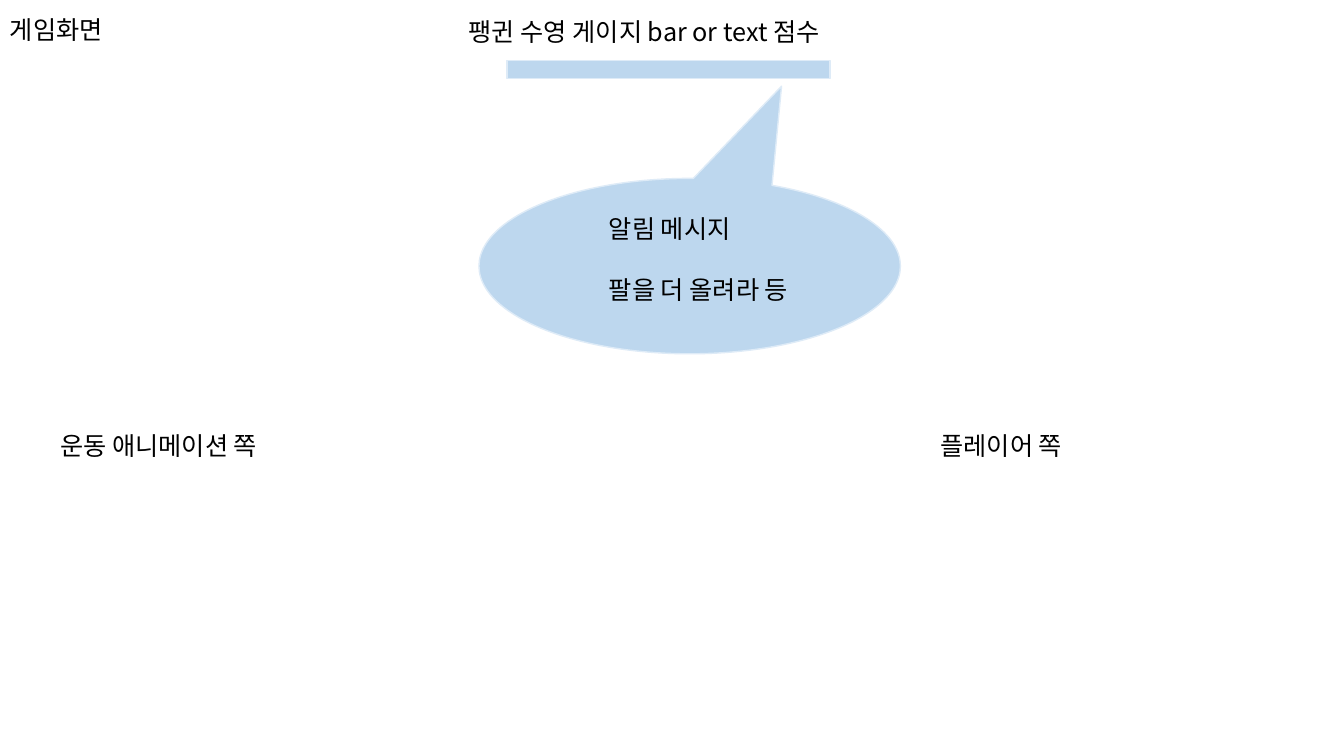
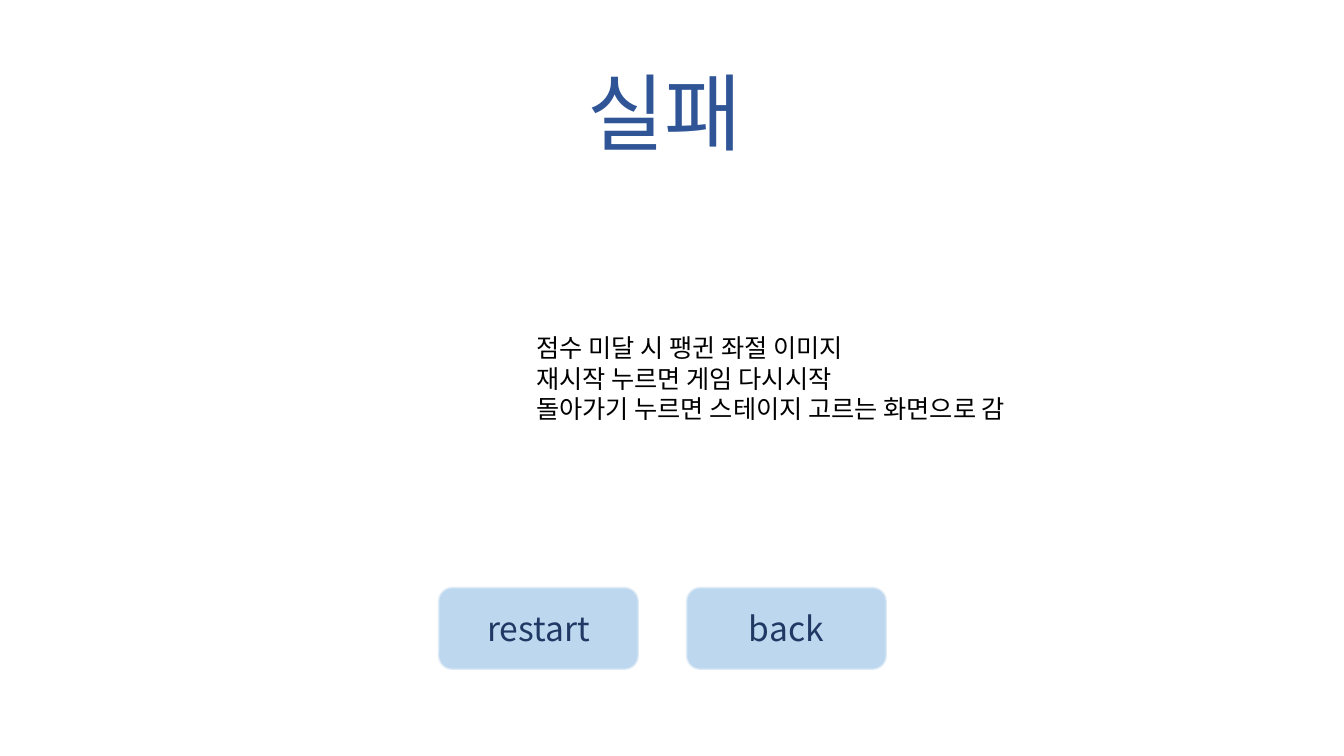
from pptx import Presentation
from pptx.dml.color import RGBColor
from pptx.enum.shapes import MSO_SHAPE as Kind
from pptx.enum.text import MSO_ANCHOR as Anchor, MSO_AUTO_SIZE as Fit, PP_ALIGN as Align
from pptx.oxml.ns import qn
from pptx.util import Inches, Pt
from lxml.etree import SubElement

FONT = "Noto Sans CJK KR"
BLACK, NAVY, BLUE = "000000", "203864", "2F5597"
SKY, EDGE = "BDD7EE", "DEEBF7"
BODY = {"size": 18, "color": BLACK}
LABEL = {"size": 24, "color": NAVY, "align": Align.CENTER}
TITLE = {"size": 60, "color": BLUE, "align": Align.CENTER}


def tint(code):
    """Turn a hex string into a colour."""
    return RGBColor.from_string(code)


def write(frame, lines, size, color, align=Align.LEFT, gap=0):
    """Fill a text frame with one paragraph per line."""
    frame.word_wrap = True
    for i, line in enumerate(lines):
        para = frame.paragraphs[0] if i == 0 else frame.add_paragraph()
        para.alignment = align
        para.space_before = Pt(gap if i else 0)
        run = para.add_run()
        run.text = line
        for name, value in {"name": FONT, "size": Pt(size)}.items():
            setattr(run.font, name, value)
        run.font.color.rgb = tint(color)
        SubElement(run._r.get_or_add_rPr(), qn("a:ea"), typeface=FONT)


def note(slide, box, lines, style=BODY, gap=0):
    """Add a text box that grows with its lines."""
    frame = slide.shapes.add_textbox(*map(Inches, box)).text_frame
    write(frame, lines, gap=gap, **style)
    frame.auto_size = Fit.SHAPE_TO_FIT_TEXT


def panel(slide, kind, box):
    """Add a pale blue shape with a thin edge."""
    shape = slide.shapes.add_shape(kind, *map(Inches, box))
    shape.shadow.inherit = False
    shape.fill.solid()
    shape.fill.fore_color.rgb = tint(SKY)
    shape.line.color.rgb = tint(EDGE)
    shape.line.width = Pt(1)
    return shape


def gauge(slide, left, top, width):
    """Add the swim gauge: a caption above a bar."""
    note(slide, (left + 0.1, top, width - 0.19, 0.4),
         ["팽귄 수영 게이지 bar or text 점수"])
    panel(slide, Kind.MATH_MINUS, (left, top + 0.21, width, 0.74))


def alert(slide, left, top, width, height):
    """Add the message balloon, which points up at the gauge."""
    balloon = panel(slide, Kind.OVAL_CALLOUT, (left, top, width, height))
    balloon.rotation = 180
    balloon.adjustments[0] = -0.218
    balloon.adjustments[1] = 1.026
    note(slide, (left + 1.19, top + 0.3, 2.88, 1.62),
         ["알림 메시지", "팔을 더 올려라 등"], gap=21.5)


def button(slide, left, top, width, height, label):
    """Add a rounded button with a centred label."""
    frame = panel(slide, Kind.ROUNDED_RECTANGLE, (left, top, width, height)).text_frame
    write(frame, [label], **LABEL)
    frame.vertical_anchor = Anchor.MIDDLE


def play(slide):
    """Build the game screen."""
    note(slide, (0, 0.09, 8.2, 0.4), ["게임화면"])
    note(slide, (0.5, 4.22, 6.5, 0.4), ["운동 애니메이션 쪽"])
    note(slide, (9.23, 4.22, 2.75, 0.4), ["플레이어 쪽"])
    gauge(slide, 4.45, 0.11, 4.36)
    alert(slide, 4.75, 1.77, 4.18, 1.74)


def fail(slide):
    """Build the failure screen."""
    note(slide, (2.99, 0.55, 7.2, 1.11), ["실패"], TITLE)
    note(slide, (5.22, 3.25, 6.3, 1.62), [
        "점수 미달 시 팽귄 좌절 이미지",
        "재시작 누르면 게임 다시시작",
        "돌아가기 누르면 스테이지 고르는 화면으로 감",
    ])
    for i, label in enumerate(["restart", "back"]):
        button(slide, 4.35 + i * 2.46, 5.83, 1.98, 0.81, label)


def main():
    """Build and save the deck."""
    deck = Presentation()
    deck.slide_width, deck.slide_height = Inches(13.33), Inches(7.5)
    for build in (play, fail):
        build(deck.slides.add_slide(deck.slide_layouts[6]))
    deck.save("out.pptx")


if __name__ == "__main__":
    main()
